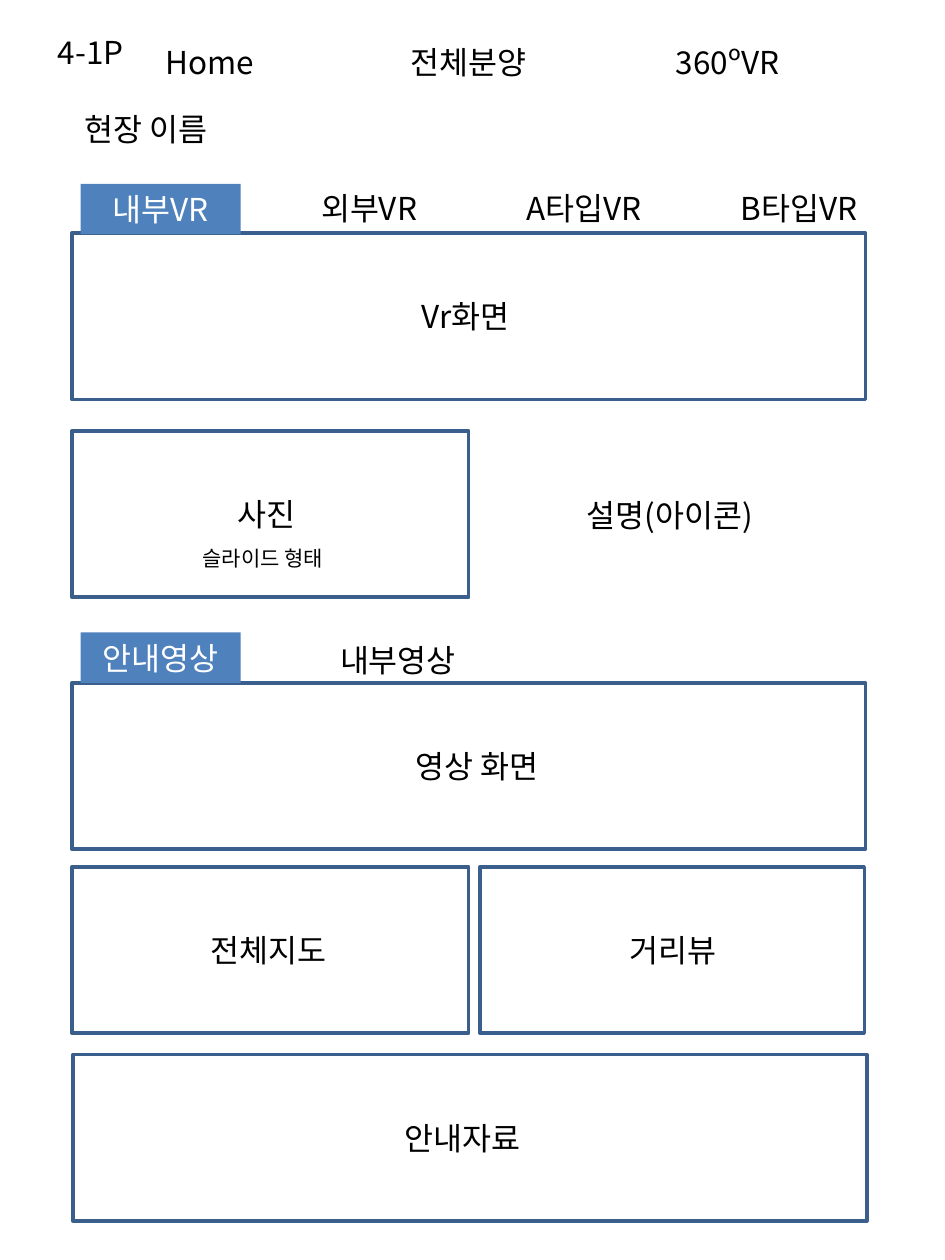
from dataclasses import dataclass
from lxml.etree import SubElement
from pptx import Presentation
from pptx.dml.color import RGBColor
from pptx.enum.shapes import MSO_SHAPE
from pptx.enum.text import MSO_ANCHOR, MSO_AUTO_SIZE, PP_ALIGN
from pptx.oxml.ns import qn
from pptx.util import Inches, Pt


@dataclass(frozen=True)
class Theme:
    ink: RGBColor = RGBColor(0, 0, 0)
    paper: RGBColor = RGBColor(255, 255, 255)
    edge: RGBColor = RGBColor(0x3A, 0x5F, 0x8C)
    tab: RGBColor = RGBColor(0x4F, 0x81, 0xBD)
    font: str = "Noto Sans CJK KR"
    size: int = 18
    small: int = 12
    line: int = 2


THEME = Theme()
LEFT, FULL, HALF = 0.57, 6.3, 3.15
TALL, ROW = 1.32, 0.4


def write(shape, words, color=THEME.ink, size=THEME.size,
          align=PP_ALIGN.LEFT, anchor=MSO_ANCHOR.TOP):
    frame = shape.text_frame
    frame.word_wrap = True
    frame.vertical_anchor = anchor
    para = frame.paragraphs[0]
    para.alignment = align
    run = para.add_run()
    run.text = words
    run.font.name = THEME.font
    run.font.size = Pt(size)
    run.font.color.rgb = color
    # East Asian letters take their font from a:ea
    SubElement(run.font._element, qn("a:ea"), typeface=THEME.font)


def label(slide, x, y, wide, words, high=ROW, **style):
    box = slide.shapes.add_textbox(
        Inches(x), Inches(y), Inches(wide), Inches(high))
    write(box, words, **style)
    box.text_frame.auto_size = MSO_AUTO_SIZE.SHAPE_TO_FIT_TEXT


def block(slide, x, y, wide, high):
    shape = slide.shapes.add_shape(
        MSO_SHAPE.RECTANGLE, Inches(x), Inches(y), Inches(wide), Inches(high))
    shape.shadow.inherit = False
    return shape


def panel(slide, x, y, wide, words, dx, width):
    """Draw an outlined area with its label dx from the left edge."""
    shape = block(slide, x, y, wide, TALL)
    shape.fill.background()
    shape.line.color.rgb = THEME.edge
    shape.line.width = Pt(THEME.line)
    label(slide, x + dx, y + 0.46, width, words)


def tab(slide, x, y, words):
    """Draw the chosen tab, filled."""
    shape = block(slide, x, y, 1.27, ROW)
    shape.fill.solid()
    shape.fill.fore_color.rgb = THEME.tab
    shape.line.fill.background()
    write(shape, words, THEME.paper, align=PP_ALIGN.CENTER,
          anchor=MSO_ANCHOR.MIDDLE)


def header(slide, x, y):
    label(slide, x + 0.05, y, 0.8, "4-1P")
    for col, words in enumerate(("Home", "전체분양", "360ºVR")):
        label(slide, x + col * 2.055, y + 0.08, 2.71, words,
              align=PP_ALIGN.CENTER)
    title = slide.shapes.title
    title.left, title.top = Inches(x + 0.26), Inches(y + 0.61)
    title.width, title.height = Inches(1.3), Inches(ROW)
    write(title, "현장 이름")
    title.text_frame.auto_size = MSO_AUTO_SIZE.SHAPE_TO_FIT_TEXT


def viewer(slide, x, y):
    panel(slide, x, y + ROW, FULL, "Vr화면", 2.68, 0.95)
    tab(slide, x + 0.07, y + 0.01, "내부VR")
    for dx, wide, words in ((1.88, 1.06, "외부VR"), (3.51, 1.19, "A타입VR"),
                            (5.21, 1.17, "B타입VR")):
        label(slide, x + dx, y, wide, words)


def photos(slide, x, y):
    panel(slide, x, y, HALF, "사진", 1.22, 0.71)
    label(slide, x + 0.94, y + 0.86, 1.27, "슬라이드 형태", 0.3,
          size=THEME.small)
    label(slide, x + 3.99, y + 0.47, 1.62, "설명(아이콘)")


def videos(slide, x, y):
    panel(slide, x, y + ROW, FULL, "영상 화면", 2.63, 1.3)
    tab(slide, x + 0.07, y, "안내영상")
    label(slide, x + 2.03, y + 0.02, 1.21, "내부영상")


def maps(slide, x, y):
    panel(slide, x, y, HALF, "전체지도", 1, 1.66)
    panel(slide, x + 3.24, y, 3.05, "거리뷰", 1.09, 0.96)


def main():
    deck = Presentation()
    deck.slide_width, deck.slide_height = Inches(7.5), Inches(10)
    slide = deck.slides.add_slide(deck.slide_layouts.get_by_name("Title Only"))
    header(slide, 0.31, 0.21)
    viewer(slide, LEFT, 1.45)
    photos(slide, LEFT, 3.42)
    videos(slide, LEFT, 5.02)
    maps(slide, LEFT, 6.88)
    panel(slide, LEFT + 0.01, 8.37, FULL, "안내자료", 2.53, 1.21)
    deck.save("out.pptx")


if __name__ == "__main__":
    main()
